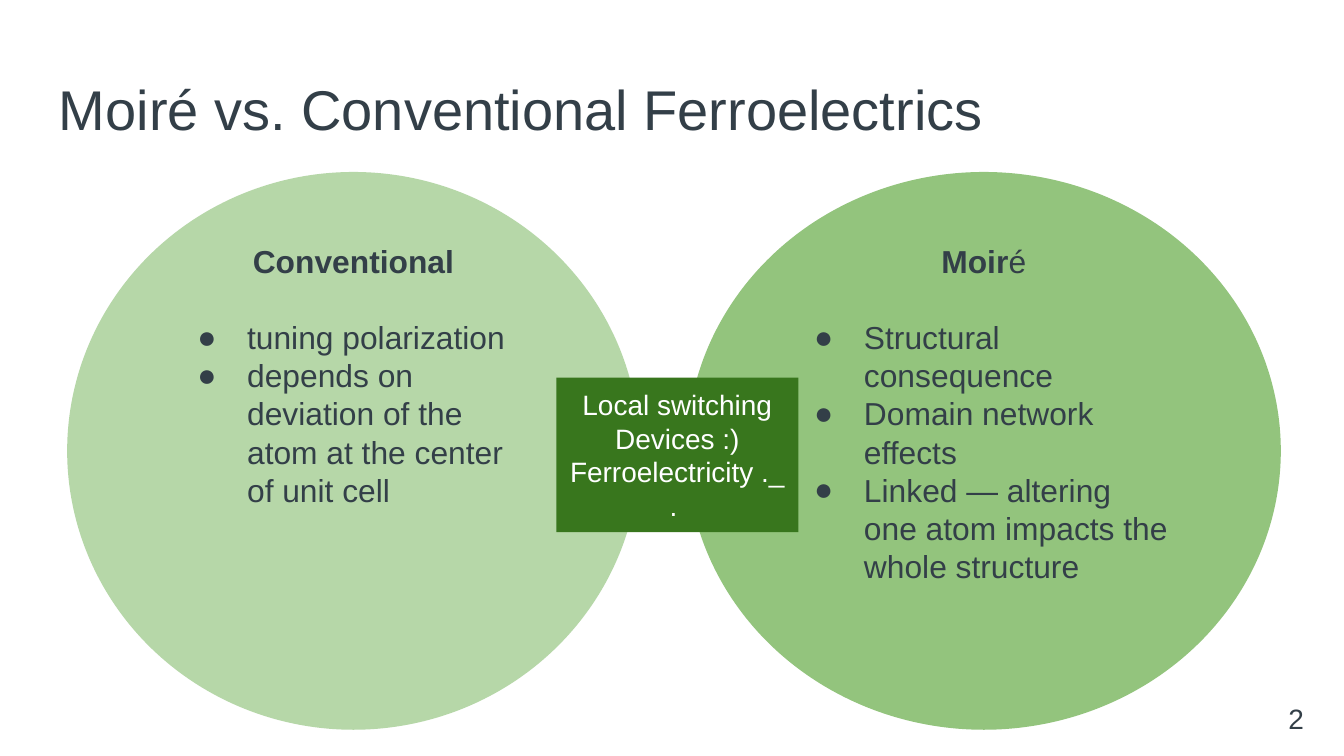
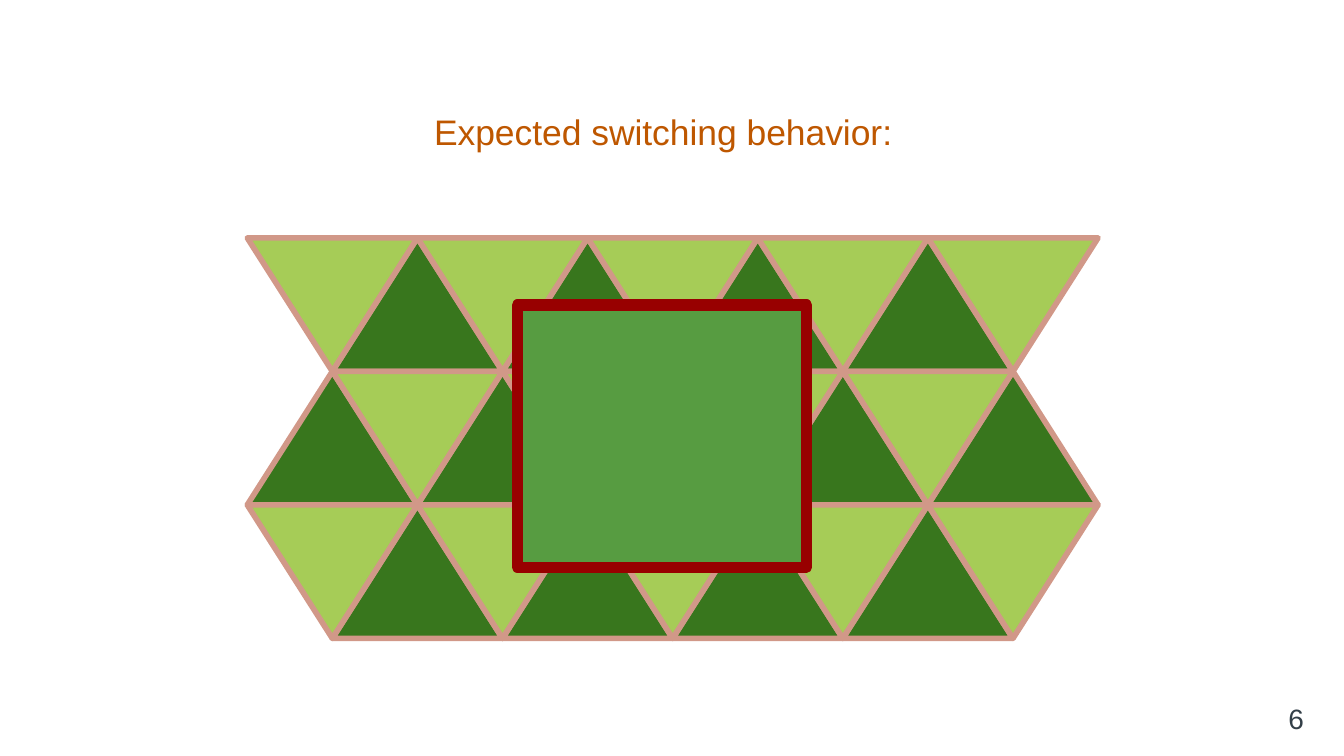
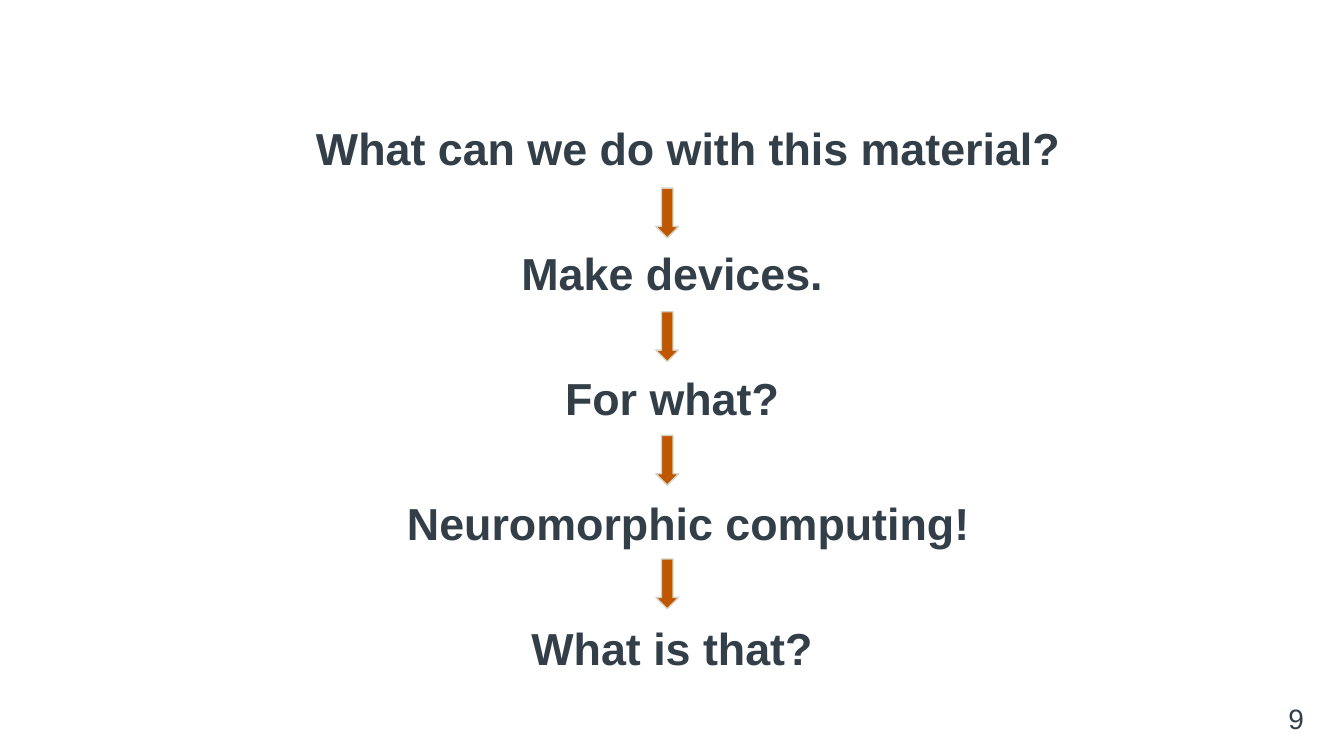
from dataclasses import dataclass

from lxml import etree
from pptx import Presentation
from pptx import util as u
from pptx.dml.color import RGBColor
from pptx.enum import shapes, text
from pptx.oxml import ns

SHAPE = shapes.MSO_SHAPE
ALIGN = text.PP_ALIGN
ANCHOR = text.MSO_ANCHOR


@dataclass(frozen=True)
class Theme:
    font: str = "Arial"
    language: str = "en"
    ink: str = "333F48"
    accent: str = "BE5700"
    white: str = "FFFFFF"
    pale_green: str = "B6D7A8"
    mid_green: str = "93C47D"
    dark_green: str = "38761D"
    lime: str = "A6CC57"
    square_green: str = "579C41"
    square_edge: str = "980000"
    tile_edge: str = "D19888"
    arrow_edge: str = "D6D2C3"
    title: int = 30
    question: int = 24
    caption: int = 19
    body: int = 17
    small: int = 15


class Slides:
    def __init__(self, theme):
        self.theme = theme
        self.deck = Presentation()
        self.deck.slide_width = u.Inches(10)
        self.deck.slide_height = u.Inches(10) * 9 // 16
        self.page = None

    def new_page(self):
        self.page = self.deck.slides.add_slide(self.deck.slide_layouts[6])

    def style_spans(self, para, size, color, bold=False):
        for span in para.runs:
            span.font.name = self.theme.font
            span.font.size = u.Pt(size)
            span.font.bold = bold
            span.font.color.rgb = RGBColor.from_string(color)
            span._r.get_or_add_rPr().set("lang", self.theme.language)

    def fill_text(self, box, words, size, color, bold=False, align=ALIGN.CENTER,
                  anchor=ANCHOR.TOP, inset=0.1):
        frame = box.text_frame
        frame.word_wrap = True
        frame.vertical_anchor = anchor
        frame.margin_left = frame.margin_right = u.Inches(0.1)
        frame.margin_top = frame.margin_bottom = u.Inches(inset)
        frame.text = words
        for para in frame.paragraphs:
            para.alignment = align
            self.style_spans(para, size, color, bold)

    def text_box(self, place, words, size, color, **layout):
        box = self.page.shapes.add_textbox(*map(u.Inches, place))
        self.fill_text(box, words, size, color, **layout)
        return box

    def shape(self, kind, place, fill, edge=None, edge_width=0):
        shape = self.page.shapes.add_shape(kind, *map(u.Inches, place))
        shape.shadow.inherit = False
        shape.fill.solid()
        shape.fill.fore_color.rgb = RGBColor.from_string(fill)
        if edge:
            shape.line.color.rgb = RGBColor.from_string(edge)
            shape.line.width = u.Pt(edge_width)
            etree.SubElement(shape.line._get_or_add_ln(), ns.qn("a:round"))
        else:
            shape.line.fill.background()
        return shape

    def bullet(self, frame, words):
        para = frame.add_paragraph()
        para.text = words
        props = para._p.get_or_add_pPr()
        props.set("marL", str(u.Inches(0.5)))
        props.set("indent", str(u.Inches(-0.37)))
        color = etree.SubElement(props, ns.qn("a:buClr"))
        etree.SubElement(color, ns.qn("a:srgbClr"), val=self.theme.ink)
        etree.SubElement(props, ns.qn("a:buFont"), typeface=self.theme.font)
        etree.SubElement(props, ns.qn("a:buChar"), char="●")
        para.alignment = ALIGN.LEFT
        self.style_spans(para, self.theme.body, self.theme.ink)
        return para

    def bullet_list(self, place, heading, bullets, plain_ending=""):
        """Bold centred heading, optionally ending in regular type, over bullets."""
        theme = self.theme
        frame = self.text_box(place, heading, theme.body, theme.ink, bold=True).text_frame
        if plain_ending:
            title = frame.paragraphs[0]
            title.add_run().text = plain_ending
            self.style_spans(title, theme.body, theme.ink)
            title.runs[0].font.bold = True
        items = [self.bullet(frame, words) for words in bullets]
        items[0].space_before = u.Pt(20.4)

    def page_number(self, number):
        self.text_box((9.38, 5.12, 0.53, 0.43), str(number), self.theme.small, self.theme.ink)


def comparison_page(slides):
    theme = slides.theme
    slides.new_page()
    slides.text_box((0.34, 0.49, 9.32, 0.63), "Moiré vs. Conventional Ferroelectrics",
                    theme.title, theme.ink, align=ALIGN.LEFT, anchor=ANCHOR.MIDDLE, inset=0.05)
    slides.shape(SHAPE.OVAL, (5.11, 1.28, 4.42, 4.15), theme.mid_green)
    slides.shape(SHAPE.OVAL, (0.5, 1.28, 4.26, 4.15), theme.pale_green)
    slides.bullet_list((1.24, 1.7, 2.78, 2.89), "Conventional", [
        "tuning polarization",
        "depends on deviation of the atom at the center of unit cell",
    ])
    shared = slides.shape(SHAPE.RECTANGLE, (4.14, 2.81, 1.8, 1.15), theme.dark_green)
    slides.fill_text(shared, "Local switching\nDevices :)\nFerroelectricity ._. ",
                     theme.small, theme.white, anchor=ANCHOR.MIDDLE)
    slides.bullet_list((5.83, 1.7, 2.98, 2.8), "Moir", [
        "Structural consequence",
        "Domain network effects",
        "Linked — altering one atom impacts the whole structure",
    ], plain_ending="é")
    slides.page_number(2)


def switching_page(slides):
    theme = slides.theme
    slides.new_page()
    left, top = 1.84, 1.77
    width, height = 6.33 / 5, 2.98 / 3
    rows, columns = 3, 9
    covered = (1, 4)
    cells = [(row, column) for row in range(rows) for column in range(columns)
             if (row, column) != covered]
    for parity, fill, rotation in ((1, theme.dark_green, 0), (0, theme.lime, 180)):
        for row, column in cells:
            if (row + column) % 2 == parity:
                place = (left + column * width / 2, top + row * height, width, height)
                domain = slides.shape(SHAPE.FLOWCHART_EXTRACT, place, fill, theme.tile_edge, 3)
                domain.rotation = rotation
    slides.shape(SHAPE.FLOWCHART_PROCESS, (3.85, 2.27, 2.15, 1.95),
                 theme.square_green, theme.square_edge, 6)
    slides.page_number(6)
    caption = slides.text_box((1.05, 0.72, 7.77, 0.52), "Expected switching behavior:",
                              theme.caption, theme.accent)
    caption.text_frame.auto_size = text.MSO_AUTO_SIZE.SHAPE_TO_FIT_TEXT


def questions_page(slides):
    theme = slides.theme
    slides.new_page()
    steps = [
        (0.46, "What can we do with this material?"),
        (0.34, "Make devices."),
        (0.34, "For what?"),
        (0.46, "Neuromorphic computing!"),
        (0.34, "What is that?"),
    ]
    for index, (left, words) in enumerate(steps):
        slides.text_box((left, 0.85 + 0.93 * index, 9.32, 0.5), words, theme.question,
                        theme.ink, bold=True, anchor=ANCHOR.BOTTOM, inset=0.05)
    for index in range(len(steps) - 1):
        slides.shape(SHAPE.DOWN_ARROW, (4.88, 1.4 + 0.92 * index, 0.17, 0.37),
                     theme.accent, theme.arrow_edge, 0.75)
    slides.page_number(9)


def main():
    slides = Slides(Theme())
    comparison_page(slides)
    switching_page(slides)
    questions_page(slides)
    slides.deck.save("out.pptx")


if __name__ == "__main__":
    main()
